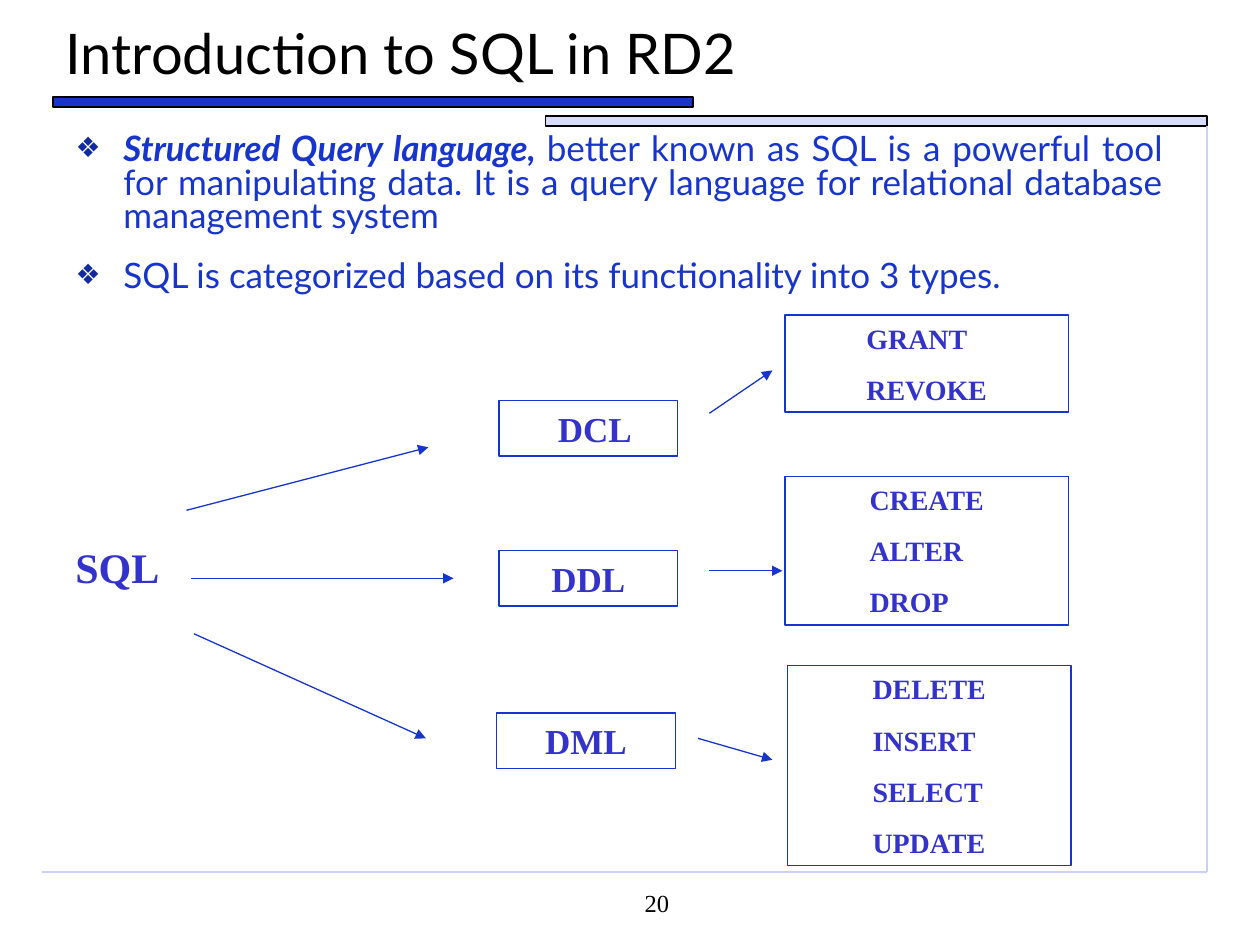
"""Build the slide that introduces SQL and its three command categories."""
from typing import NamedTuple

import lxml.etree
import pptx
import pptx.dml.color
import pptx.enum.shapes
import pptx.enum.text
import pptx.oxml.ns
import pptx.util

RGBColor = pptx.dml.color.RGBColor
Pt = pptx.util.Pt
Align = pptx.enum.text.PP_ALIGN
Anchor = pptx.enum.text.MSO_ANCHOR
qn = pptx.oxml.ns.qn

BLACK = RGBColor(0x00, 0x00, 0x00)
BLUE = RGBColor(0x17, 0x35, 0xCD)
PALE = RGBColor(0xD6, 0xDC, 0xFA)
RULE = RGBColor(0xC9, 0xD1, 0xF9)
INDIGO = RGBColor(0x33, 0x33, 0xCC)
BULLET = RGBColor(0x12, 0x2A, 0xA0)
SANS = "Lato"
SERIF = "Times New Roman"
EMU_PER_PX = 9144


class Box(NamedTuple):
    x: int
    y: int
    w: int
    h: int


class Line(NamedTuple):
    x1: int
    y1: int
    x2: int
    y2: int


class Category(NamedTuple):
    name: str
    box: Box
    inset: int
    commands: tuple[str, ...]
    commands_box: Box
    from_sql: Line
    to_commands: Line


CATEGORIES = (
    Category("DCL", Box(396, 318, 142, 44), 20, ("GRANT", "REVOKE"),
             Box(623, 250, 225, 77), Line(148, 405, 340, 355), Line(563, 328, 613, 294)),
    Category("DDL", Box(396, 437, 142, 44), 10, ("CREATE", "ALTER", "DROP"),
             Box(623, 378, 225, 118), Line(152, 459, 360, 459), Line(563, 453, 621, 453)),
    Category("DML", Box(394, 566, 142, 44), 10, ("DELETE", "INSERT", "SELECT", "UPDATE"),
             Box(625, 528, 225, 159), Line(154, 503, 338, 586), Line(554, 586, 613, 603)),
)


def px(n: int) -> int:
    return n * EMU_PER_PX


def add_text(p, text: str, *, size: int, font: str = SERIF, color: RGBColor = INDIGO,
             bold: bool = False, italic: bool = False) -> None:
    r = p.add_run()
    r.text = text
    r.font.size = Pt(size)
    r.font.name = font
    r.font.bold = bold
    r.font.italic = italic
    r.font.color.rgb = color


def add_rect(s, box: Box, *, line: RGBColor, fill: RGBColor | None = None):
    sp = s.shapes.add_shape(pptx.enum.shapes.MSO_SHAPE.RECTANGLE, *map(px, box))
    sp.shadow.inherit = False
    if fill is None:
        sp.fill.background()
    else:
        sp.fill.solid()
        sp.fill.fore_color.rgb = fill
    sp.line.color.rgb = line
    sp.line.width = Pt(0.75)
    return sp


def add_label_box(s, box: Box, lines: tuple[str, ...], *, size: int, before: float,
                  inset: int = 10) -> None:
    tf = add_rect(s, box, line=BLUE).text_frame
    tf.word_wrap = True
    tf.vertical_anchor = Anchor.MIDDLE
    tf.margin_left = px(inset)
    tf._txBody.find(qn("a:bodyPr")).set("anchorCtr", "1")
    for i, text in enumerate(lines):
        p = tf.add_paragraph() if i else tf.paragraphs[0]
        p.alignment = Align.LEFT
        p.space_before = Pt(before)
        add_text(p, text, size=size, bold=True)


def add_line(s, line: Line, *, color: RGBColor = BLUE, arrow: bool = False) -> None:
    c = s.shapes.add_connector(pptx.enum.shapes.MSO_CONNECTOR.STRAIGHT, *map(px, line))
    c.line.color.rgb = color
    c.line.width = Pt(0.75)
    if arrow:
        lxml.etree.SubElement(c.line._get_or_add_ln(), qn("a:tailEnd"), type="triangle")
    lxml.etree.SubElement(c._element.spPr, qn("a:effectLst"))


def add_text_box(s, box: Box, text: str, *, align: Align = Align.LEFT, **fmt) -> None:
    tf = s.shapes.add_textbox(*map(px, box)).text_frame
    tf.word_wrap = True
    tf.paragraphs[0].alignment = align
    add_text(tf.paragraphs[0], text, **fmt)


def place(sp, box: Box):
    sp.left, sp.top, sp.width, sp.height = map(px, box)
    sp.text_frame.auto_size = pptx.enum.text.MSO_AUTO_SIZE.NONE
    return sp.text_frame


def format_bullet(p, align: Align) -> None:
    p.alignment = align
    p.line_spacing = 0.8
    p.space_before = Pt(10)
    p.space_after = Pt(5)
    pPr = p._p.get_or_add_pPr()
    pPr.set("marL", str(px(38)))
    pPr.set("indent", str(-px(38)))
    clr = lxml.etree.SubElement(pPr, qn("a:buClr"))
    lxml.etree.SubElement(clr, qn("a:srgbClr"), val=str(BULLET))
    lxml.etree.SubElement(pPr, qn("a:buSzPct"), val="80000")
    lxml.etree.SubElement(pPr, qn("a:buChar"), char="❖")


def main() -> None:
    prs = pptx.Presentation()
    prs.slide_width, prs.slide_height = px(1000), px(750)
    s = prs.slides.add_slide(prs.slide_layouts[1])

    add_rect(s, Box(42, 77, 508, 8), line=BLACK, fill=BLUE)
    add_rect(s, Box(433, 92, 525, 8), line=BLACK, fill=PALE)
    add_line(s, Line(958, 100, 958, 692), color=RULE)
    add_line(s, Line(33, 692, 958, 692), color=RULE)
    add_text_box(s, Box(333, 700, 208, 50), "20", align=Align.RIGHT, size=14, color=BLACK)

    tf = place(s.shapes.title, Box(42, 0, 933, 83))
    tf.vertical_anchor = Anchor.MIDDLE
    tf.paragraphs[0].alignment = Align.LEFT
    add_text(tf.paragraphs[0], "Introduction to SQL in RD2", size=32, font=SANS, color=BLACK)

    tf = place(s.placeholders[1], Box(50, 102, 883, 575))
    p = tf.paragraphs[0]
    format_bullet(p, Align.JUSTIFY)
    add_text(p, "Structured Query language, ", size=20, font=SANS, color=BLUE,
             bold=True, italic=True)
    add_text(p, "better known as SQL is a powerful tool for manipulating data. It is a query "
             "language for relational database management system",
             size=20, font=SANS, color=BLUE)
    p = tf.add_paragraph()
    format_bullet(p, Align.LEFT)
    add_text(p, "SQL is categorized based on its functionality into 3 types.",
             size=20, font=SANS, color=BLUE)

    add_text_box(s, Box(50, 425, 94, 50), "SQL", size=24, bold=True)
    for cat in CATEGORIES:
        add_line(s, cat.from_sql, arrow=True)
        add_label_box(s, cat.box, (cat.name,), size=20, before=12.5, inset=cat.inset)
        add_line(s, cat.to_commands, arrow=True)
        add_label_box(s, cat.commands_box, cat.commands, size=16, before=10)

    prs.save("out.pptx")


if __name__ == "__main__":
    main()
